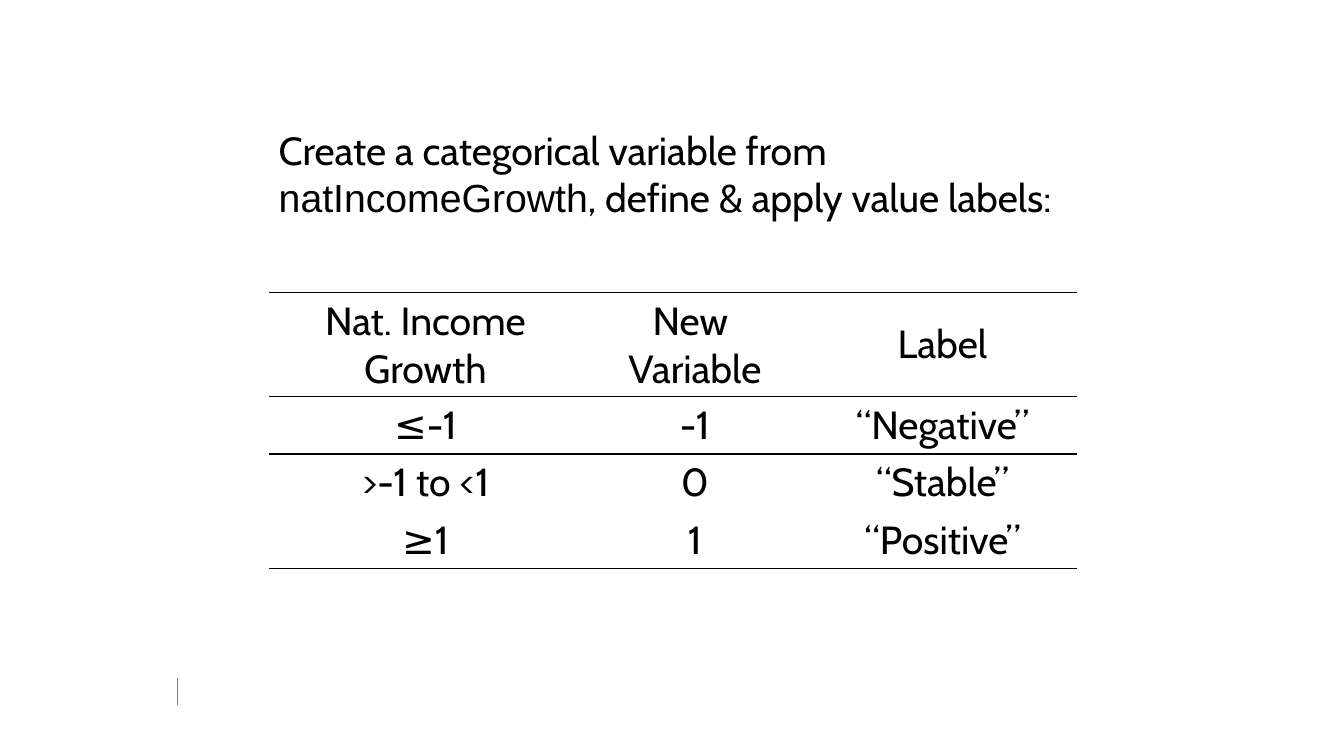
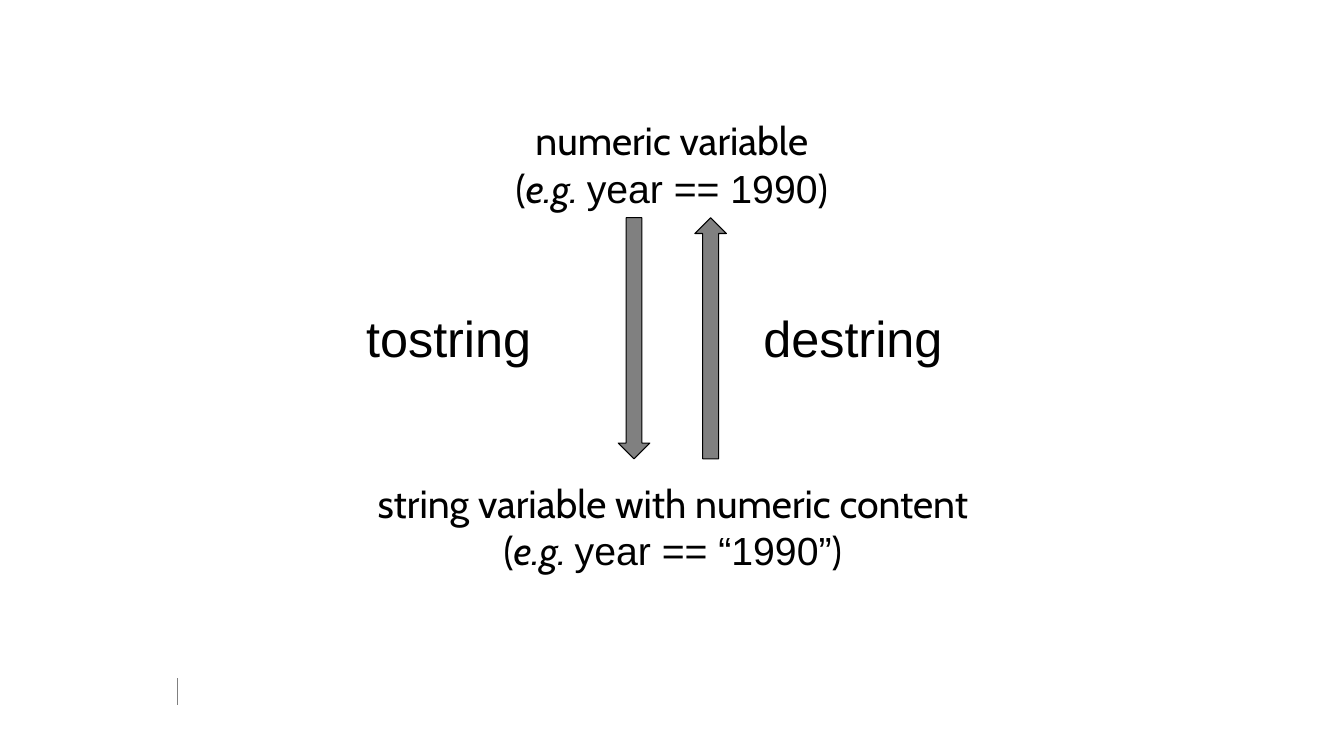
from dataclasses import dataclass

from lxml.etree import SubElement
from pptx import Presentation
from pptx.dml.color import RGBColor
from pptx.enum.shapes import MSO_CONNECTOR, MSO_SHAPE
from pptx.enum.text import MSO_ANCHOR, PP_ALIGN
from pptx.oxml.ns import qn
from pptx.util import Emu, Inches, Pt

COLOURS = {"ink": "000000", "grey": "808080", "paper": "FFFFFF"}
BODY_FONT, CODE_FONT = "Cabin", "Arial"
BODY_SIZE, COMMAND_SIZE = 28, 36

# The page is a grid of 100 columns by 100 rows
PAGE_WIDTH, PAGE_HEIGHT = Inches(13.33), Inches(7.5)
CONTENT_LEFT = 20


@dataclass
class Area:
    left: float
    top: float
    width: float
    height: float


@dataclass
class Span:
    text: str
    font: str = BODY_FONT
    italic: bool = False
    break_after: bool = False


@dataclass
class TextBlock:
    area: Area
    lines: list[list[Span]]
    size: int = BODY_SIZE
    align: PP_ALIGN = PP_ALIGN.LEFT
    wrap: bool = True


@dataclass
class Arrow:
    left: float
    shape: MSO_SHAPE


def columns(count: float) -> Emu:
    return Emu(round(PAGE_WIDTH * count / 100))


def rows(count: float) -> Emu:
    return Emu(round(PAGE_HEIGHT * count / 100))


def place(area: Area) -> tuple[Emu, Emu, Emu, Emu]:
    return columns(area.left), rows(area.top), columns(area.width), rows(area.height)


def colour(name: str) -> RGBColor:
    return RGBColor.from_string(COLOURS[name])


def style_run(run, font: str, size: int, italic: bool = False) -> None:
    run.font.name = font
    run.font.size = Pt(size)
    run.font.italic = italic
    run.font.color.rgb = colour("ink")


def add_page(deck):
    """Add a blank page with the footer tick shared by all pages."""
    page = deck.slides.add_slide(deck.slide_layouts[6])
    page.background.fill.solid()
    page.background.fill.fore_color.rgb = colour("paper")
    tick = page.shapes.add_connector(
        MSO_CONNECTOR.STRAIGHT, columns(13.2), rows(89.7), columns(13.2), rows(93.2))
    tick.line.color.rgb = colour("grey")
    tick.line.width = Pt(0.25)
    SubElement(tick._element.spPr, qn("a:effectLst"))
    return page


def add_text(page, block: TextBlock) -> None:
    frame = page.shapes.add_textbox(*place(block.area)).text_frame
    frame.word_wrap = block.wrap
    for index, spans in enumerate(block.lines):
        para = frame.add_paragraph() if index else frame.paragraphs[0]
        para.alignment = block.align
        if index:
            para.space_before = Pt(0.5)
        for span in spans:
            run = para.add_run()
            run.text = span.text
            style_run(run, span.font, block.size, span.italic)
            if span.break_after:
                para.add_line_break()


def rule_cell(cell, top: bool, bottom: bool) -> None:
    """Give a cell black rules above or below and no other border."""
    cell.fill.background()
    properties = cell._tc.get_or_add_tcPr()
    sides = {"a:lnL": False, "a:lnR": False, "a:lnT": top, "a:lnB": bottom}
    for position, (side, ruled) in enumerate(sides.items()):
        border = SubElement(properties, qn(side), w=str(Pt(1)))
        if ruled:
            fill = SubElement(border, qn("a:solidFill"))
            SubElement(fill, qn("a:srgbClr"), val=COLOURS["ink"])
        else:
            SubElement(border, qn("a:noFill"))
        properties.insert(position, border)


def add_ruled_table(page, left: float, top: float, widths: list[float],
                    heights: list[float], values: list[list[str]],
                    ruled_edges: set[int]) -> None:
    """Draw a table; edge n is the horizontal line above row n."""
    area = Area(left, top, sum(widths), sum(heights))
    table = page.shapes.add_table(len(heights), len(widths), *place(area)).table
    table.first_row = table.horz_banding = False
    for column, width in zip(table.columns, widths):
        column.width = columns(width)
    for index, (row, height) in enumerate(zip(table.rows, heights)):
        row.height = rows(height)
        for cell, value in zip(row.cells, values[index]):
            cell.vertical_anchor = MSO_ANCHOR.MIDDLE
            para = cell.text_frame.paragraphs[0]
            para.text = value
            para.alignment = PP_ALIGN.CENTER
            for run in para.runs:
                style_run(run, BODY_FONT, BODY_SIZE)
            rule_cell(cell, index in ruled_edges, index + 1 in ruled_edges)


def add_arrow(page, arrow: Arrow) -> None:
    area = Area(arrow.left, 28.8, 2.35, 31.9)
    shape = page.shapes.add_shape(arrow.shape, *place(area))
    shape.shadow.inherit = False
    shape.fill.solid()
    shape.fill.fore_color.rgb = colour("grey")
    shape.line.color.rgb = colour("ink")
    shape.line.width = Pt(0.75)


def variable_block(area: Area, title: str, example: str, wrap: bool) -> TextBlock:
    """A kind of variable with an example in code below it."""
    example_line = [Span("("), Span("e.g. ", italic=True),
                    Span(example, CODE_FONT), Span(")")]
    return TextBlock(area, [[Span(title)], example_line],
                     align=PP_ALIGN.CENTER, wrap=wrap)


def command_block(left: float, command: str) -> TextBlock:
    return TextBlock(Area(left, 40, 16.65, 9.5), [[Span(command, CODE_FONT)]],
                     size=COMMAND_SIZE, wrap=False)


def build_categories_page(deck) -> None:
    page = add_page(deck)
    add_text(page, TextBlock(Area(CONTENT_LEFT, 16, 60.2, 13.9), [[
        Span("Create a categorical variable from ", break_after=True),
        Span("natIncomeGrowth", CODE_FONT),
        Span(", define & apply value labels:"),
    ]]))
    add_ruled_table(
        page, CONTENT_LEFT, 38.7,
        widths=[23.3, 16.8, 20.05],
        heights=[13.75] + [7.55] * 3,
        values=[
            ["Nat. Income Growth", "New \vVariable", "Label"],
            ["≤-1", "-1", "“Negative”"],
            [">-1 to <1", "0", "“Stable”"],
            ["≥1", "1", "“Positive”"],
        ],
        ruled_edges={0, 1, 2, 4})


def build_conversion_page(deck) -> None:
    page = add_page(deck)
    blocks = [
        variable_block(Area(20.5, 62.7, 59.1, 14.1),
                       "string variable with numeric content",
                       "year == “1990”", wrap=True),
        variable_block(Area(36.5, 14.7, 26.95, 14.1),
                       "numeric variable", "year == 1990", wrap=False),
        command_block(26.5, "tostring"),
        command_block(56.05, "destring"),
    ]
    for block in blocks:
        add_text(page, block)
    for arrow in (Arrow(46, MSO_SHAPE.DOWN_ARROW), Arrow(51.7, MSO_SHAPE.UP_ARROW)):
        add_arrow(page, arrow)


def main() -> None:
    deck = Presentation()
    deck.slide_width, deck.slide_height = PAGE_WIDTH, PAGE_HEIGHT
    build_categories_page(deck)
    build_conversion_page(deck)
    deck.save("out.pptx")


if __name__ == "__main__":
    main()
